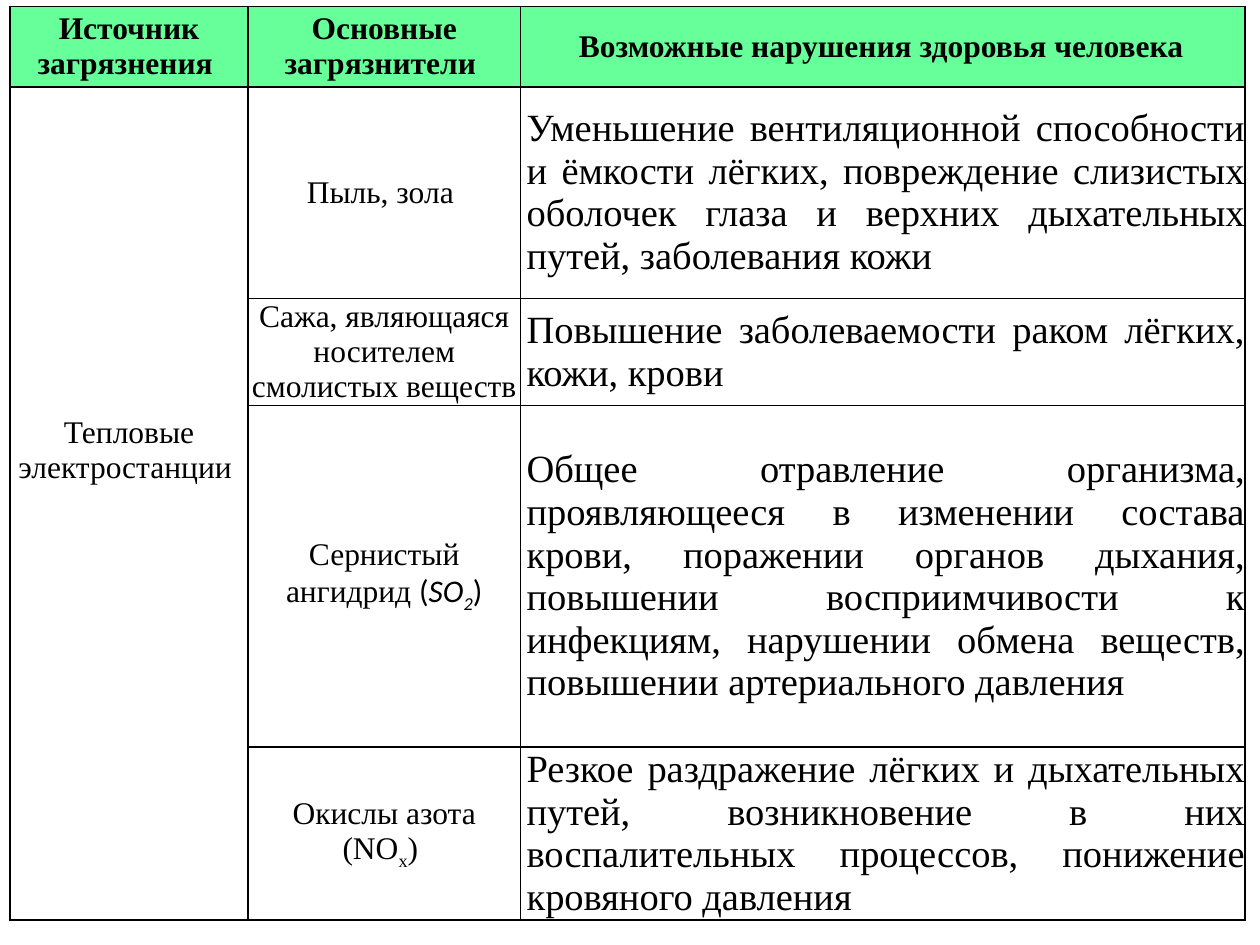
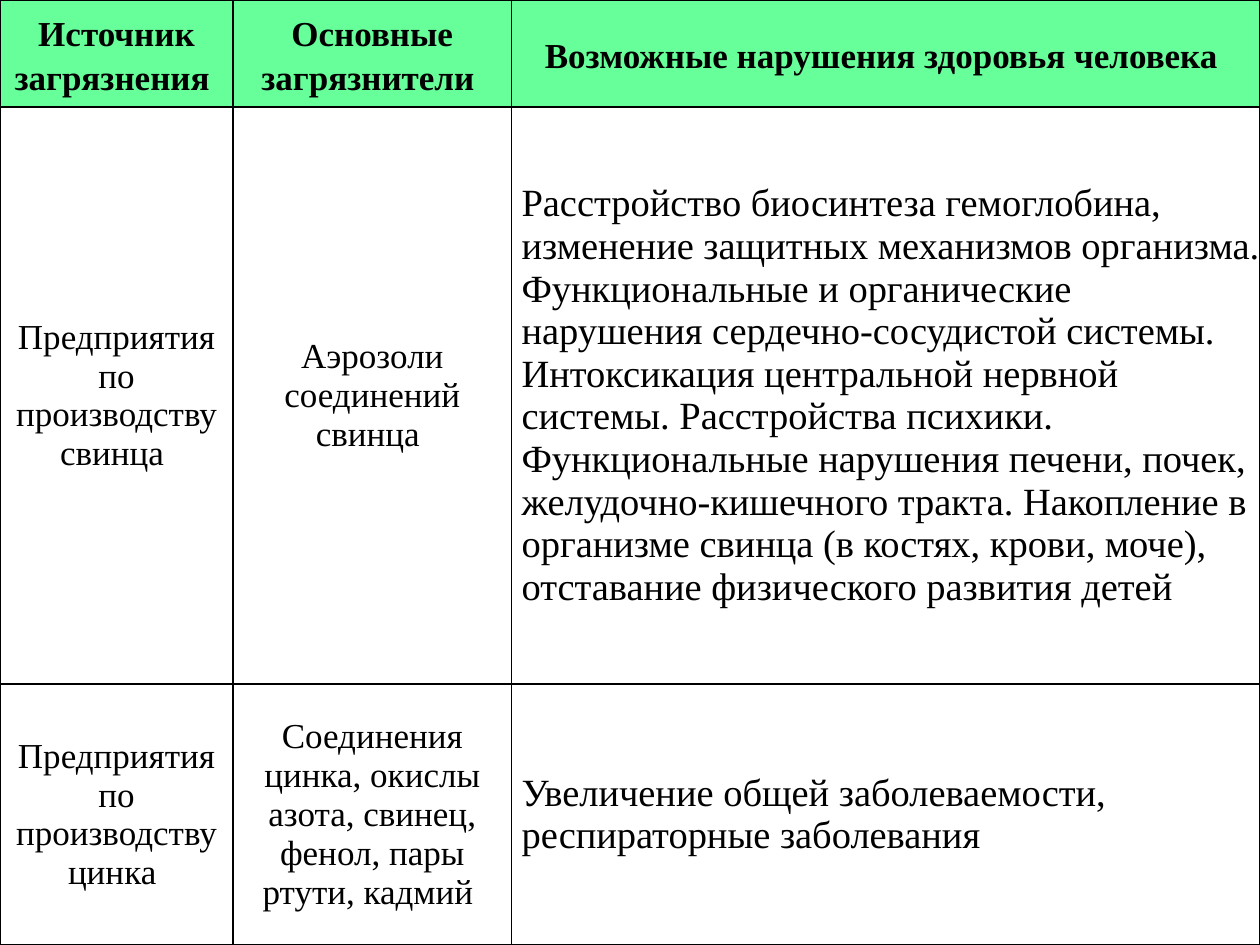
"""Build two slides of tables on air pollutants and their effects on human health."""
import pptx
import pptx.dml.color
import pptx.enum.text
import pptx.oxml.ns
import pptx.util
from lxml import etree

Inches, Pt = pptx.util.Inches, pptx.util.Pt
RGB = pptx.dml.color.RGBColor.from_string
ALIGN = pptx.enum.text.PP_ALIGN
qn = pptx.oxml.ns.qn

THEME = {
    "header_fill": "66FF99", "body_fill": "FFFFFF", "ink": "000000",
    "font": "Times New Roman", "formula_font": "Calibri",
    "effect_size": 22, "inset": 0.01, "border": 1,
}
HEADER = ("Источник загрязнения ", "Основные загрязнители ",
          "Возможные нарушения здоровья человека ")
FORMULA = {"name": THEME["formula_font"]}
FORMULA_ITALIC = FORMULA | {"italic": True}

sulphur_dioxide = [[("Сернистый ангидрид ", {}), ("(", FORMULA), ("SO", FORMULA_ITALIC),
                    ("2", FORMULA_ITALIC | {"baseline": "-25000"}), (")", FORMULA)]]
nitrogen_oxides = [[("Окислы азота", {})],
                   [("(NO", {}), ("х", {"baseline": "-25000"}), (") ", {})]]

PAGES = [
    {
        "frame": (0.08, 0.05, 9.8, 7.14),
        "widths": (1.89, 2.16, 5.75),
        "heights": (0.64, 1.68, 0.85, 2.71, 1.26),
        "label_size": 18, "header_spacing": 1.0, "effect_align": ALIGN.JUSTIFY,
        "header_indent": 0.04, "effect_indent": 0.04,
        "shared_source_bottom": 0.85,
        "rows": [
            ("Тепловые электростанции ", "Пыль, зола ",
             "Уменьшение вентиляционной способности и ёмкости лёгких, повреждение слизистых "
             "оболочек глаза и верхних дыхательных путей, заболевания кожи "),
            (None, "Сажа, являющаяся носителем смолистых веществ ",
             "Повышение заболеваемости раком лёгких, кожи, крови "),
            (None, sulphur_dioxide,
             "Общее отравление организма, проявляющееся в изменении состава крови, поражении "
             "органов дыхания, повышении восприимчивости к инфекциям, нарушении обмена "
             "веществ, повышении артериального давления "),
            (None, nitrogen_oxides,
             "Резкое раздражение лёгких и дыхательных путей, возникновение в них "
             "воспалительных процессов, понижение кровяного давления "),
        ],
    },
    {
        "frame": (0, 0, 10, 7.5),
        "widths": (1.85, 2.21, 5.94),
        "heights": (0.85, 4.58, 2.07),
        "label_size": 20, "header_spacing": 1.15, "effect_align": ALIGN.LEFT,
        "header_indent": 0, "effect_indent": 0.07,
        "rows": [
            ("Предприятия по производству свинца ", "Аэрозоли соединений свинца ",
             "Расстройство биосинтеза гемоглобина, изменение защитных механизмов организма. "
             "Функциональные и органические нарушения сердечно-сосудистой системы. "
             "Интоксикация центральной нервной системы. Расстройства психики. "
             "Функциональные нарушения печени, почек, желудочно-кишечного тракта. "
             "Накопление в организме свинца (в костях, крови, моче), отставание "
             "физического развития детей"),
            ("Предприятия по производству цинка ",
             "Соединения цинка, окислы азота, свинец, фенол, пары ртути, кадмий ",
             "Увеличение общей заболеваемости, респираторные заболевания"),
        ],
    },
]


def style_cell(cell, fill, left_indent, right_inset):
    """Give a cell its borders, fill, insets and vertical anchor."""
    properties = cell._tc.get_or_add_tcPr()
    for side in ("lnL", "lnR", "lnT", "lnB"):
        border = etree.SubElement(properties, qn(f"a:{side}"), w=str(Pt(THEME["border"])))
        ink = etree.SubElement(border, qn("a:solidFill"))
        etree.SubElement(ink, qn("a:srgbClr"), val=THEME["ink"])
    cell.fill.solid()
    cell.fill.fore_color.rgb = RGB(fill)
    inset = Inches(THEME["inset"])
    layout = {"margin_left": inset + Inches(left_indent), "margin_right": Inches(right_inset),
              "margin_top": inset, "margin_bottom": inset,
              "vertical_anchor": pptx.enum.text.MSO_ANCHOR.MIDDLE}
    for name, value in layout.items():
        setattr(cell, name, value)


def write_cell(cell, content, font_format, paragraph_format):
    """Write plain text, or paragraphs made of (text, format) runs, into a cell."""
    paragraphs = [[(content, {})]] if isinstance(content, str) else content
    for index, pieces in enumerate(paragraphs):
        frame = cell.text_frame
        paragraph = frame.add_paragraph() if index else frame.paragraphs[0]
        for name, value in paragraph_format.items():
            setattr(paragraph, name, value)
        for text, changes in pieces:
            run = paragraph.add_run()
            run.text = text
            run.font.color.rgb = RGB(THEME["ink"])
            for name, value in (font_format | changes).items():
                if name == "baseline":
                    run._r.get_or_add_rPr().set(name, value)
                else:
                    setattr(run.font, name, value)


deck = pptx.Presentation()
deck.slide_width, deck.slide_height = Inches(10), Inches(7.5)

for page in PAGES:
    slide = deck.slides.add_slide(deck.slide_layouts[6])
    rows = [HEADER, *page["rows"]]
    pollution = slide.shapes.add_table(
        len(rows), len(HEADER), *(Inches(length) for length in page["frame"])).table
    pollution.first_row = pollution.horz_banding = False
    for column, width in zip(pollution.columns, page["widths"]):
        column.width = Inches(width)
    for row, height in zip(pollution.rows, page["heights"]):
        row.height = Inches(height)

    for row_index, row in enumerate(rows):
        is_header = row_index == 0
        for column_index, content in enumerate(row):
            if content is None:
                continue
            cell = pollution.cell(row_index, column_index)
            is_effect_column = column_index == 2
            is_effect = is_effect_column and not is_header
            indent = page["header_indent" if is_header else "effect_indent"]
            style_cell(cell, THEME["header_fill" if is_header else "body_fill"],
                       indent if is_effect_column else 0,
                       0 if is_effect else THEME["inset"])
            size = THEME["effect_size"] if is_effect else page["label_size"]
            write_cell(
                cell, content,
                {"name": THEME["font"], "size": Pt(size), "bold": is_header},
                {"alignment": page["effect_align"] if is_effect else ALIGN.CENTER,
                 "line_spacing": page["header_spacing"] if is_header else 1.0})

    if "shared_source_bottom" in page:
        shared_source = pollution.cell(1, 0)
        shared_source.merge(pollution.cell(len(rows) - 1, 0))
        shared_source.margin_bottom = Inches(page["shared_source_bottom"])

deck.save("out.pptx")
